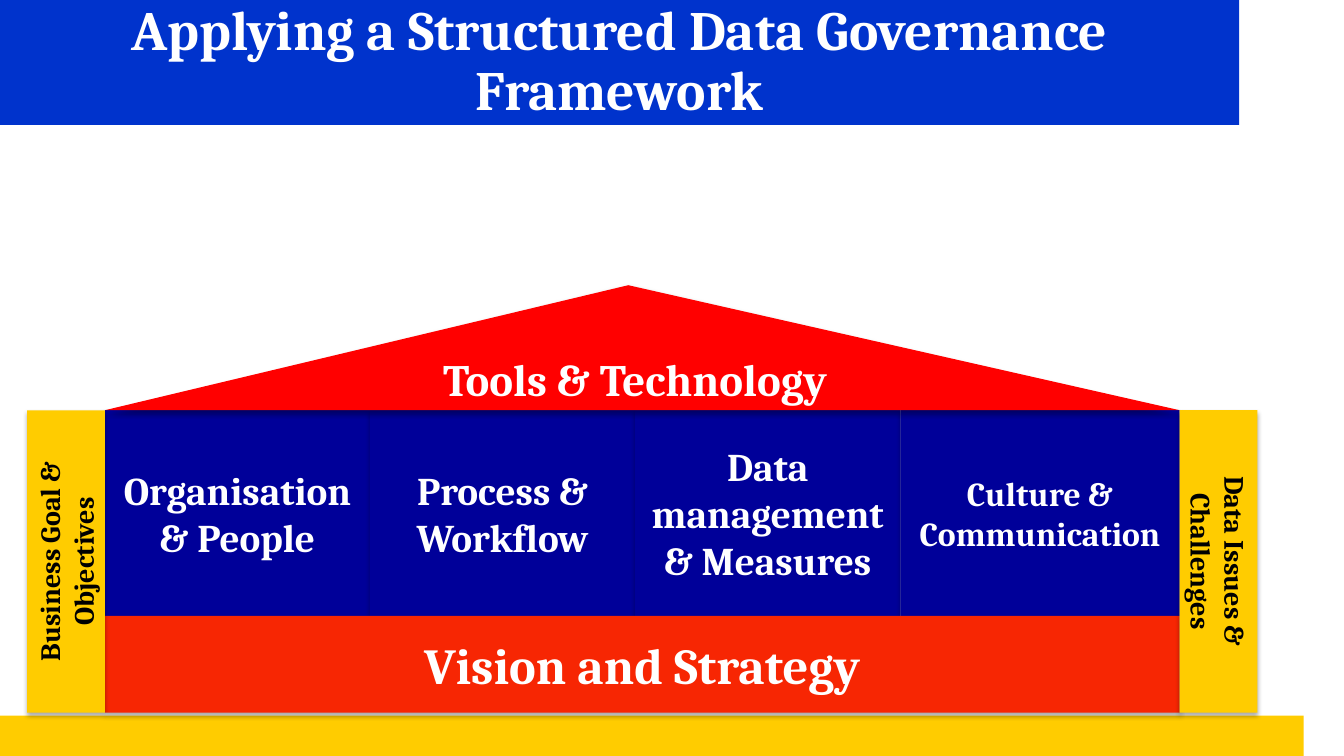
import pptx
import pptx.dml.color
import pptx.enum.shapes
import pptx.enum.text
import pptx.oxml
import pptx.oxml.ns
import pptx.util
from pptx.util import Inches

SHAPES = pptx.enum.shapes.MSO_SHAPE
MIDDLE = pptx.enum.text.MSO_ANCHOR.MIDDLE
TOP = pptx.enum.text.MSO_ANCHOR.TOP
SHADOW = (
    f'<a:outerShdw {pptx.oxml.ns.nsdecls("a")} blurRad="44450" dist="27940" '
    'dir="5400000" algn="ctr" rotWithShape="0">'
    '<a:srgbClr val="000000"><a:alpha val="32000"/></a:srgbClr></a:outerShdw>'
)


def set_color(color_format, color):
    color_format.rgb = pptx.dml.color.RGBColor.from_string(color)


def set_fill(shape, color):
    shape.fill.solid()
    set_color(shape.fill.fore_color, color)


def write_text(shape, text, size, color="FFFFFF", anchor=MIDDLE):
    frame = shape.text_frame
    frame.text = text
    frame_format = {
        "word_wrap": True,
        "auto_size": pptx.enum.text.MSO_AUTO_SIZE.NONE,
        "vertical_anchor": anchor,
    }
    for name, value in frame_format.items():
        setattr(frame, name, value)
    paragraph = frame.paragraphs[0]
    paragraph.alignment = pptx.enum.text.PP_ALIGN.CENTER
    font = paragraph.runs[0].font
    font_format = {"name": "Cambria", "size": pptx.util.Pt(size), "bold": True}
    for name, value in font_format.items():
        setattr(font, name, value)
    set_color(font.color, color)


def add_block(slide, box, fill, kind=SHAPES.RECTANGLE, shadow=True):
    shape = slide.shapes.add_shape(kind, *map(Inches, box))
    set_fill(shape, fill)
    shape.line.fill.background()
    shape.shadow.inherit = False
    if shadow:
        effects = shape._element.spPr.find(pptx.oxml.ns.qn("a:effectLst"))
        effects.append(pptx.oxml.parse_xml(SHADOW))
    return shape


def add_title(slide, box):
    title = slide.shapes.title
    for name, value in zip(("left", "top", "width", "height"), box):
        setattr(title, name, Inches(value))
    set_fill(title, "0033CC")
    write_text(title, "Applying a Structured Data Governance Framework", 39.6)
    title.text_frame.paragraphs[0].line_spacing = 0.9


def add_pillars(slide, box):
    left, top, width, height = box
    step = 2.63
    pillars = [
        ("Organisation & People", 28),
        ("Process & Workflow", 28),
        ("Data management & Measures", 28),
        ("Culture & Communication", 24),
    ]
    for index, (text, size) in enumerate(pillars):
        is_last = index == len(pillars) - 1
        pillar_width = width - index * step if is_last else step
        pillar_box = (left + index * step, top, pillar_width, height)
        write_text(add_block(slide, pillar_box, "000099"), text, size)


def add_side_bar(slide, box, text, rotation):
    left, top, width, height = box
    offset = (height - width) / 2
    bar = add_block(slide, (left - offset, top + offset, height, width), "FFCC00")
    bar.rotation = rotation
    write_text(bar, text, 20, "000000", TOP)


def add_house(slide, box):
    left, top, width, height = box
    roof_height, base_height, bar_width = 1.24, 0.96, 0.77
    wall_top = top + roof_height
    wall_height = height - roof_height
    pillar_height = wall_height - base_height

    add_pillars(slide, (left, wall_top, width, pillar_height))
    roof = add_block(slide, (left, top, width, roof_height), "FF0000", SHAPES.ISOSCELES_TRIANGLE)
    roof.adjustments[0] = 0.487
    write_text(roof, "Tools & Technology", 32)
    base = add_block(slide, (left, wall_top + pillar_height, width, base_height), "F72603")
    write_text(base, "Vision and Strategy", 36)
    add_side_bar(slide, (left + width, wall_top, bar_width, wall_height),
                 "Data Issues & Challenges", 90)
    add_side_bar(slide, (left - bar_width, wall_top, bar_width, wall_height),
                 "Business Goal & Objectives", 270)


def main():
    presentation = pptx.Presentation()
    presentation.slide_width = Inches(13.33)
    presentation.slide_height = Inches(7.5)
    slide = presentation.slides.add_slide(presentation.slide_layouts[5])
    add_block(slide, (0, 7.1, 12.93, 0.4), "FFCC00", shadow=False)
    add_title(slide, (0, 0, 12.29, 1.24))
    add_house(slide, (1.04, 2.83, 10.66, 4.24))
    presentation.save("out.pptx")


if __name__ == "__main__":
    main()
